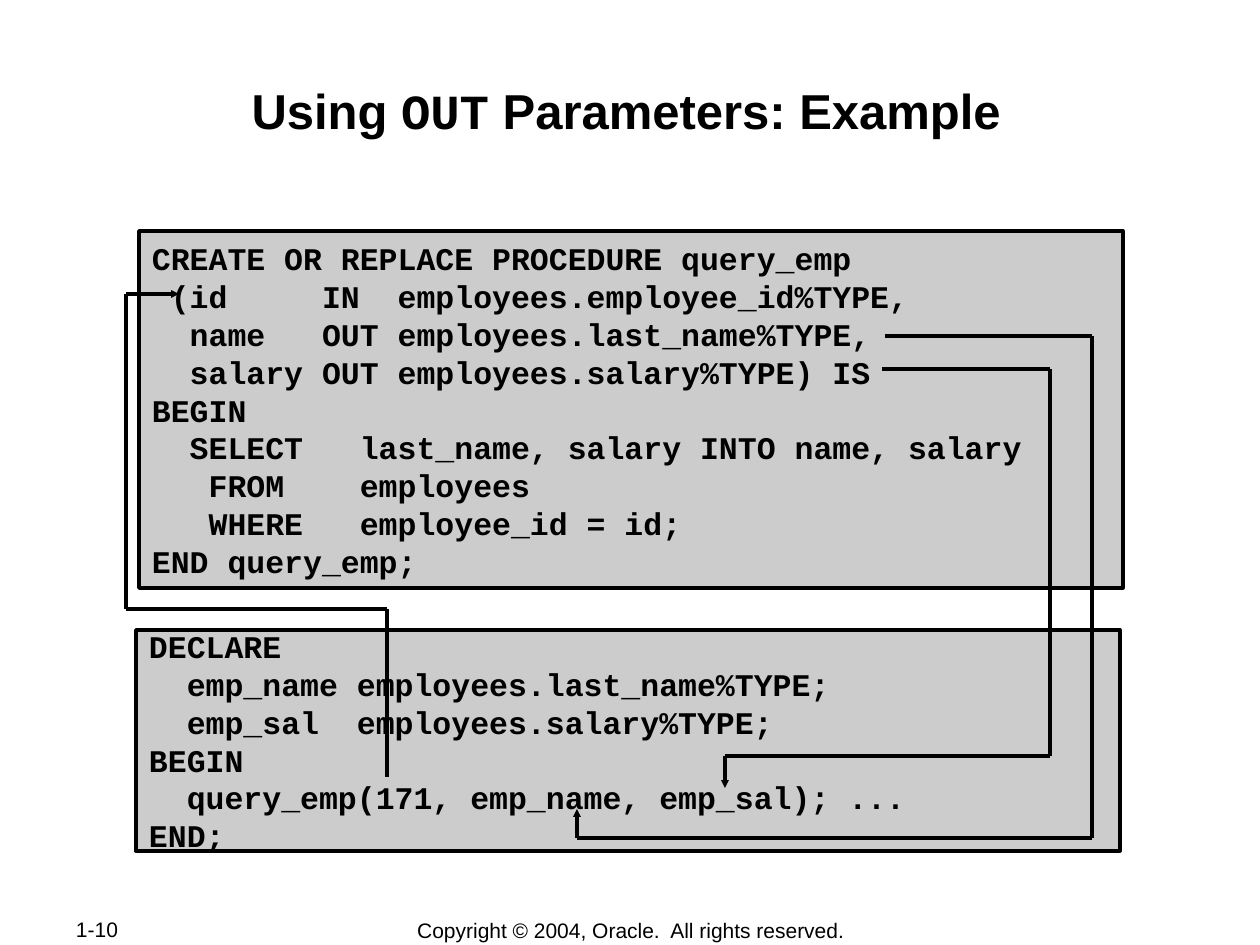
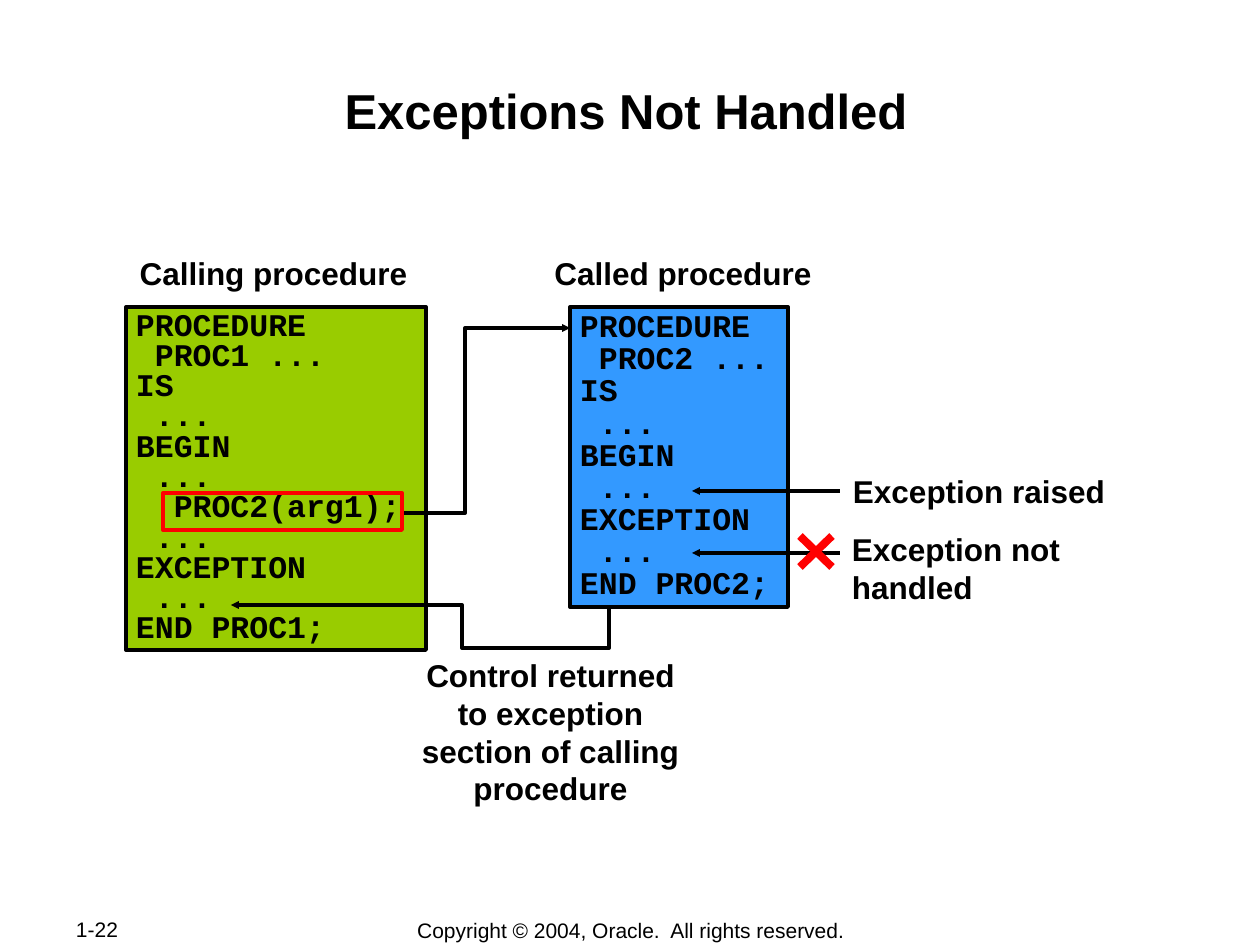
from lxml import etree
from pptx import Presentation
from pptx.dml.color import RGBColor
from pptx.enum.shapes import MSO_CONNECTOR, MSO_SHAPE
from pptx.enum.text import MSO_ANCHOR, PP_ALIGN
from pptx.oxml.ns import qn
from pptx.util import Pt

PX = 914400 / 126
LEFT, CENTER, JUSTIFY = PP_ALIGN.LEFT, PP_ALIGN.CENTER, PP_ALIGN.JUSTIFY
TOP, MIDDLE = MSO_ANCHOR.TOP, MSO_ANCHOR.MIDDLE
RECT, STRAIGHT = MSO_SHAPE.RECTANGLE, MSO_CONNECTOR.STRAIGHT
TITLE_ONLY = 5

SANS, MONO = "Arial", "Courier New"
BLACK, RED = "000000", "FF0000"
GREY, GREEN, BLUE = "CCCCCC", "99CC00", "3399FF"
COPYRIGHT = "Copyright © 2004, Oracle.  All rights reserved."

QUERY_EMP = """\
CREATE OR REPLACE PROCEDURE query_emp
 (id     IN  employees.employee_id%TYPE,
  name   OUT employees.last_name%TYPE,
  salary OUT employees.salary%TYPE) IS
BEGIN
  SELECT   last_name, salary INTO name, salary
   FROM    employees
   WHERE   employee_id = id;
END query_emp;"""

CALL_QUERY_EMP = """\
DECLARE
  emp_name employees.last_name%TYPE;
  emp_sal  employees.salary%TYPE;
BEGIN
  query_emp(171, emp_name, emp_sal); ...
END;"""

CALLING_PROC = """\
PROCEDURE
 PROC1 ...
IS
 ...
BEGIN
 ...
  PROC2(arg1);
 ...
EXCEPTION
 ...
END PROC1;"""

CALLED_PROC = """\
PROCEDURE
 PROC2 ...
IS
 ...
BEGIN
 ...
EXCEPTION
 ...
END PROC2;"""


def px(*values):
    """Turn px lengths into EMU."""
    return [round(v * PX) for v in values]


def rgb(color):
    """Turn a hex string into a colour."""
    return RGBColor.from_string(color)


def set_attrs(target, **values):
    """Set every given attribute on the target."""
    for name, value in values.items():
        setattr(target, name, value)


def add_run(p, text, font=SANS, size=18, bold=True):
    """Add one black run to a paragraph."""
    r = p.add_run()
    r.text = text
    set_attrs(r.font, name=font, size=Pt(size), bold=bold)
    r.font.color.rgb = rgb(BLACK)


def set_frame(tf, inset_x, inset_y, anchor=TOP):
    """Set wrapping, anchor and margins of a text frame."""
    x, y = px(inset_x, inset_y)
    set_attrs(tf, word_wrap=True, vertical_anchor=anchor, margin_left=x,
              margin_right=x, margin_top=y, margin_bottom=y)


def add_label(s, box, text, align=LEFT, anchor=TOP, **font):
    """Add a text box with one paragraph."""
    tf = s.shapes.add_textbox(*px(*box)).text_frame
    set_frame(tf, 13, 6, anchor)
    p = tf.paragraphs[0]
    p.alignment = align
    add_run(p, text, **font)


def style_line(line, color, width, arrow=False):
    """Colour a line and optionally end it with an arrowhead."""
    line.color.rgb = rgb(color)
    line.width = Pt(width)
    if arrow:
        etree.SubElement(line._get_or_add_ln(), qn("a:tailEnd"),
                         type="triangle", w="sm", len="sm")


def add_box(s, box, fill=None, color=BLACK, width=2.25):
    """Add an outlined rectangle, hollow when no fill is given."""
    sp = s.shapes.add_shape(RECT, *px(*box))
    sp.shadow.inherit = False
    if fill:
        sp.fill.solid()
        sp.fill.fore_color.rgb = rgb(fill)
    else:
        sp.fill.background()
    style_line(sp.line, color, width)
    return sp


def add_code(s, box, code, fill, width=2.25, inset=(10, 5), anchor=TOP,
             spacing=1.0):
    """Add a filled box with one paragraph per code line."""
    tf = add_box(s, box, fill, width=width).text_frame
    set_frame(tf, *inset, anchor)
    for i, text in enumerate(code.split("\n")):
        p = tf.add_paragraph() if i else tf.paragraphs[0]
        set_attrs(p, alignment=LEFT, line_spacing=spacing)
        add_run(p, text, MONO)


def add_line(s, start, end, color=BLACK, width=2.25, arrow=False):
    """Add a straight connector."""
    c = s.shapes.add_connector(STRAIGHT, *px(*start, *end))
    style_line(c.line, color, width, arrow)
    etree.SubElement(c._element.spPr, qn("a:effectLst"))


def add_route(s, *points):
    """Join points with connectors, the last one an arrow."""
    for i, (start, end) in enumerate(zip(points, points[1:]), 2):
        add_line(s, start, end, arrow=i == len(points))


def add_bent_arrow(s, *points):
    """Add one open outline that ends in an arrowhead."""
    start, *rest = [px(*point) for point in points]
    builder = s.shapes.build_freeform(*start)
    builder.add_line_segments(rest, close=False)
    sp = builder.convert_to_shape()
    sp.shadow.inherit = False
    sp.fill.background()
    style_line(sp.line, BLACK, 2.25, arrow=True)


def add_slide(prs, number, *title_runs):
    """Add a slide with footers and a title of (text, font) runs."""
    s = prs.slides.add_slide(prs.slide_layouts[TITLE_ONLY])
    small = {"size": 12, "bold": False}
    add_label(s, (63, 917, 134, 25), number, JUSTIFY, MIDDLE, **small)
    add_label(s, (348, 917, 566, 26), COPYRIGHT, CENTER, MIDDLE, **small)
    title = s.shapes.title
    left, top, width, height = px(122, 73, 1008, 121)
    set_attrs(title, left=left, top=top, width=width, height=height)
    set_frame(title.text_frame, 1, 7)
    p = title.text_frame.paragraphs[0]
    p.alignment = CENTER
    for text, font in title_runs:
        add_run(p, text, font, 28)
    return s


def build_out_parameters(prs):
    """Build the slide on OUT parameters."""
    s = add_slide(prs, "1-10", ("Using ", SANS), ("OUT", MONO),
                  (" Parameters: Example", SANS))
    style = {"fill": GREY, "width": 2, "inset": (13, 6), "anchor": MIDDLE}
    add_code(s, (139, 231, 984, 357), QUERY_EMP, **style)
    add_code(s, (136, 630, 984, 221), CALL_QUERY_EMP, **style)
    add_route(s, (387, 777), (387, 609), (126, 609), (126, 294), (179, 294))
    add_route(s, (885, 336), (1092, 336), (1092, 838), (577, 838), (577, 809))
    add_route(s, (882, 369), (1050, 369), (1050, 756), (725, 756), (725, 788))


def build_exceptions(prs):
    """Build the slide on unhandled exceptions."""
    s = add_slide(prs, "1-22", ("Exceptions Not Handled", SANS))
    add_code(s, (126, 307, 300, 343), CALLING_PROC, GREEN, spacing=0.8)
    add_label(s, (116, 248, 315, 49), "Calling procedure", CENTER)
    add_label(s, (408, 650, 285, 164),
              "Control returned to exception section of calling procedure",
              CENTER)
    add_bent_arrow(s, (402, 513), (465, 513), (465, 328), (570, 328))
    add_box(s, (163, 493, 239, 37), color=RED)
    add_bent_arrow(s, (609, 605), (609, 648), (462, 648), (462, 605),
                   (231, 605))
    add_label(s, (536, 248, 294, 49), "Called procedure", CENTER)
    add_code(s, (570, 307, 218, 300), CALLED_PROC, BLUE, spacing=0.85)
    for y in (491, 553):
        add_line(s, (840, y), (692, y), arrow=True)
    add_label(s, (840, 466, 284, 50), "Exception raised")
    add_label(s, (839, 524, 305, 88), "Exception not handled")
    for x1, x2 in ((800, 832), (832, 800)):
        add_line(s, (x1, 536), (x2, 567), RED, 4.5)


def main():
    """Build and save the presentation."""
    prs = Presentation()
    prs.slide_width, prs.slide_height = px(1260, 945)
    build_out_parameters(prs)
    build_exceptions(prs)
    prs.save("out.pptx")


if __name__ == "__main__":
    main()
